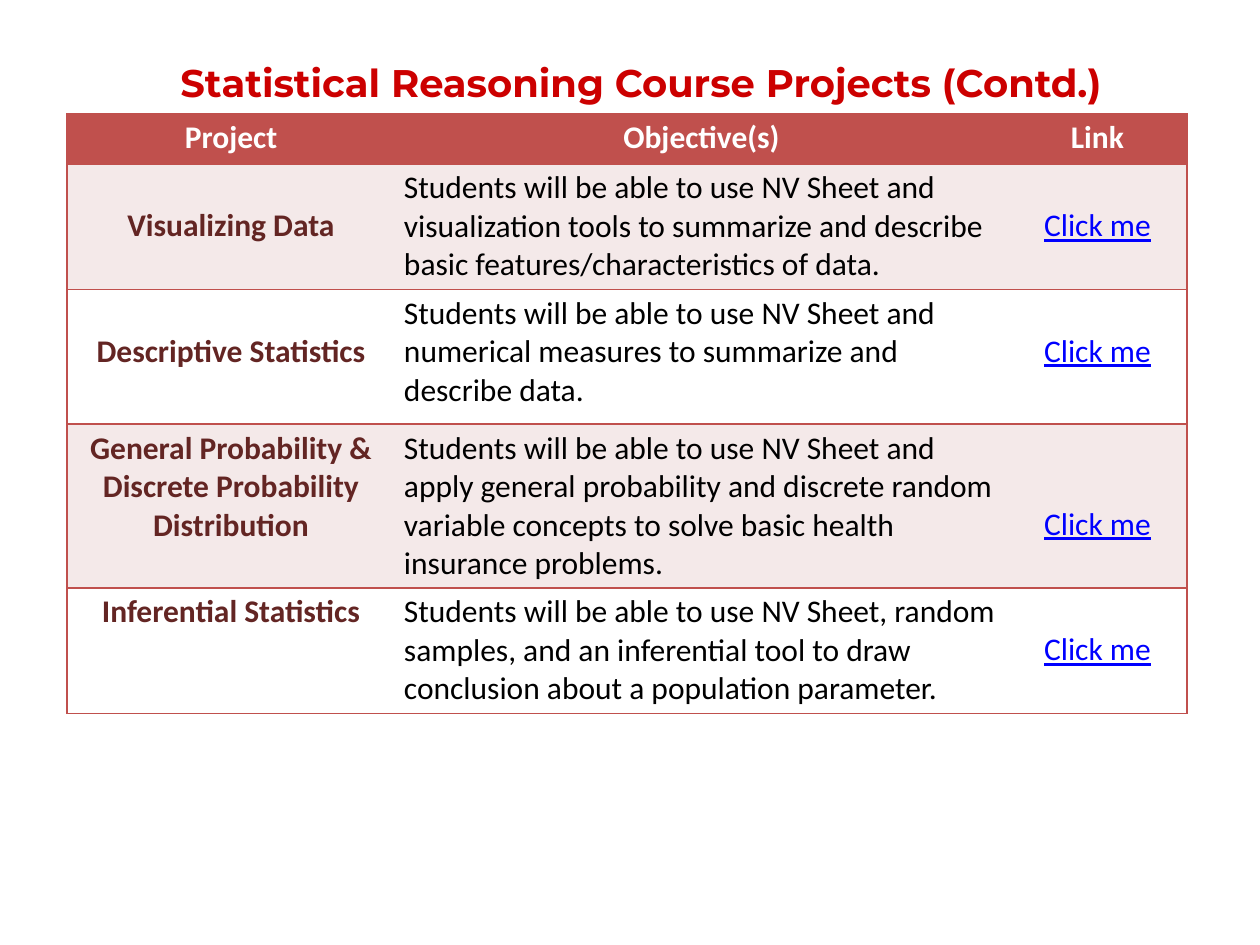
import pptx
import pptx.dml.color
import pptx.enum.text
import pptx.oxml
import pptx.oxml.ns
import pptx.util
from dataclasses import dataclass

ALIGN = pptx.enum.text.PP_ALIGN


@dataclass(frozen=True)
class Theme:
    red: str = "C0504D"
    title: str = "CC0000"
    project: str = "632523"
    link: str = "0000FF"
    black: str = "000000"
    white: str = "FFFFFF"
    band: str = "F4E9E9"
    title_font: str = "Montserrat"
    body_font: str = "Calibri"
    title_size: int = 22
    body_size: int = 18
    border: int = 1


THEME = Theme()
EMU_PER_PX = 914400 / 126
LINE = 38  # height of one line of table text
COLUMN_WIDTHS = (328, 613, 179)
HEADER_HEIGHT = 50
HEADERS = ("Project", "Objective(s)", "Link")

# Row height, project, lines above it, objective, lines above the link
PROJECTS = (
    (125, "Visualizing Data", 1,
     "Students will be able to use NV Sheet and visualization tools to "
     "summarize and describe basic features/characteristics of data.", 1),
    (135, "Descriptive Statistics", 1,
     "Students will be able to use NV Sheet and numerical measures to "
     "summarize and describe data.", 1),
    (163, "General Probability & Discrete Probability Distribution", 0,
     "Students will be able to use NV Sheet and apply general probability and "
     "discrete random variable concepts to solve basic health insurance "
     "problems.", 2),
    (125, "Inferential Statistics", 0,
     "Students will be able to use NV Sheet, random samples, and an "
     "inferential tool to draw conclusion about a population parameter.", 1),
)

HEADER_STYLE = {"color": THEME.white, "bold": True}
PROJECT_STYLE = {"color": THEME.project, "bold": True}
OBJECTIVE_STYLE = {"color": THEME.black, "bold": False}
LINK_STYLE = {"color": THEME.link, "bold": False, "underline": True}


def px(length):
    return pptx.util.Emu(round(length * EMU_PER_PX))


def rgb(value):
    return pptx.dml.color.RGBColor.from_string(value)


def write_text(frame, text, align, color, **font_values):
    para = frame.paragraphs[0]
    para.alignment = align
    span = para.add_run()
    span.text = text
    values = {"name": THEME.body_font, "size": pptx.util.Pt(THEME.body_size)}
    values.update(font_values)
    for name, value in values.items():
        setattr(span.font, name, value)
    span.font.color.rgb = rgb(color)


def set_borders(cell, sides):
    """Draw the named sides in red and clear the others."""
    properties = cell._tc.get_or_add_tcPr()
    width = pptx.util.Pt(THEME.border)
    for index, side in enumerate("LRTB"):
        paint = (f'<a:solidFill><a:srgbClr val="{THEME.red}"/></a:solidFill>'
                 if side in sides else "<a:noFill/>")
        line = pptx.oxml.parse_xml(
            f'<a:ln{side} {pptx.oxml.ns.nsdecls("a")} w="{width}">'
            f"{paint}</a:ln{side}>")
        properties.insert(index, line)


def fill_cell(cell, text, fill, sides, style, align=ALIGN.CENTER, lines_above=0):
    margins = {"margin_left": 9, "margin_right": 9,
               "margin_top": 5 + lines_above * LINE, "margin_bottom": 5}
    for name, value in margins.items():
        setattr(cell, name, px(value))
    cell.fill.solid()
    cell.fill.fore_color.rgb = rgb(fill)
    set_borders(cell, sides)
    write_text(cell.text_frame, text, align, **style)


def add_title(page):
    box = page.shapes.add_textbox(px(168), px(53), px(1031), px(106))
    box.text_frame.word_wrap = True
    write_text(box.text_frame, "Statistical Reasoning Course Projects (Contd.)",
               ALIGN.LEFT, THEME.title, name=THEME.title_font,
               size=pptx.util.Pt(THEME.title_size), bold=True)


def add_project_table(page):
    heights = [HEADER_HEIGHT] + [project[0] for project in PROJECTS]
    frame = page.shapes.add_table(
        len(heights), len(COLUMN_WIDTHS), px(67), px(114),
        px(sum(COLUMN_WIDTHS)), px(sum(heights)))
    table = frame.table
    table.first_row = table.horz_banding = False
    for column, width in zip(table.columns, COLUMN_WIDTHS):
        column.width = px(width)
    for row, height in zip(table.rows, heights):
        row.height = px(height)

    # Outer frame and row rules, without inner vertical lines
    column_sides = ("LTB", "TB", "RTB")
    for column, text in enumerate(HEADERS):
        fill_cell(table.cell(0, column), text, THEME.red,
                  column_sides[column], HEADER_STYLE)

    # Project rows with alternating fills
    for row, project in enumerate(PROJECTS, start=1):
        _, name, name_lines, objective, link_lines = project
        fill = THEME.band if row % 2 else THEME.white
        contents = (
            (name, PROJECT_STYLE, ALIGN.CENTER, name_lines),
            (objective, OBJECTIVE_STYLE, ALIGN.LEFT, 0),
            ("Click me", LINK_STYLE, ALIGN.CENTER, link_lines),
        )
        for column, (text, style, align, lines) in enumerate(contents):
            fill_cell(table.cell(row, column), text, fill,
                      column_sides[column], style, align, lines)


def main():
    deck = pptx.Presentation()
    deck.slide_width = px(1260)
    deck.slide_height = px(945)
    page = deck.slides.add_slide(deck.slide_layouts[6])
    add_project_table(page)
    add_title(page)
    deck.save("out.pptx")


if __name__ == "__main__":
    main()
